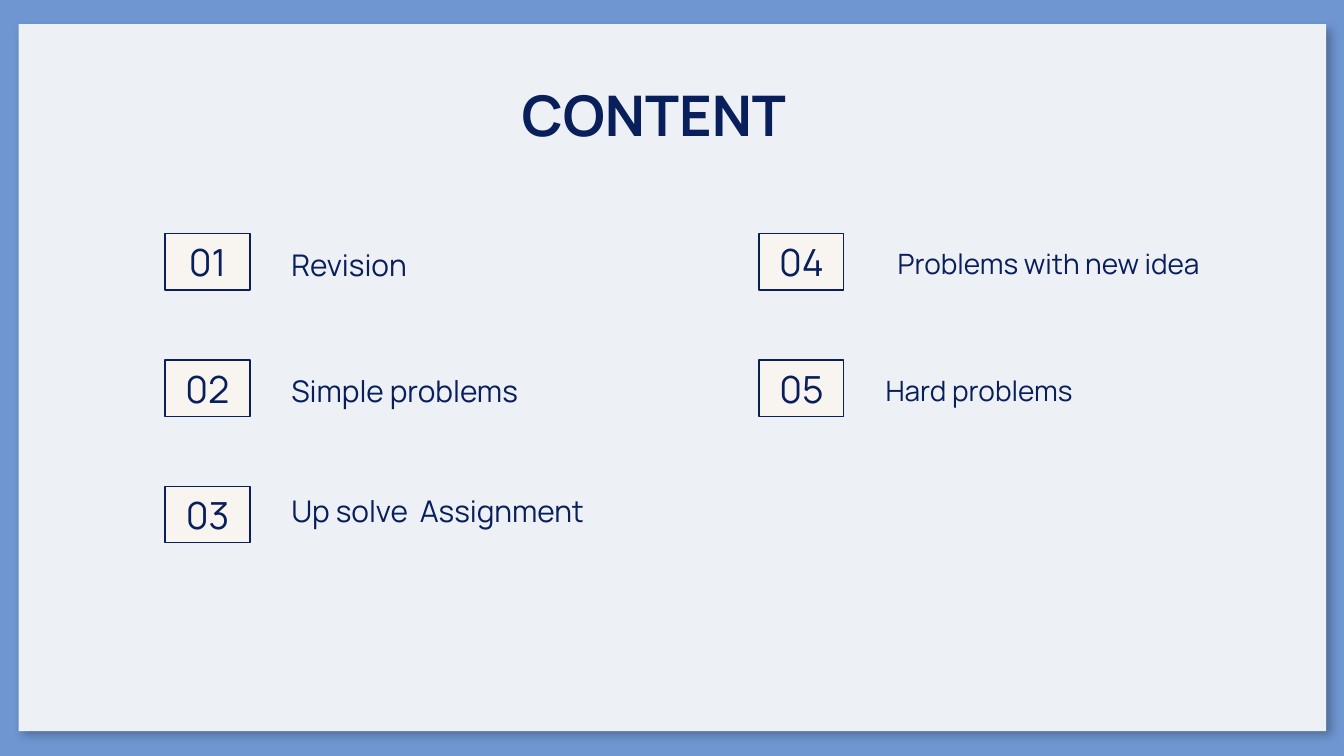
from lxml import etree
from pptx import Presentation
from pptx.dml.color import RGBColor
from pptx.enum import shapes, text
from pptx.oxml import ns
from pptx.util import Pt

NAVY, CREAM, PALE, BLUE = "091F5B", "F8F4F0", "EDF0F5", "6F96D1"


def paint(target, color):
    """Give a fill, or the fill of a line, one solid colour."""
    target.solid()
    target.fore_color.rgb = RGBColor.from_string(color)


class Agenda:
    font = "Manrope"
    inset = Pt(7.2)

    def __init__(self, page):
        self.page = page
        paint(page.background.fill, BLUE)

    def rectangle(self, left, top, width, height, fill, line=None):
        box = self.page.shapes.add_shape(
            shapes.MSO_SHAPE.RECTANGLE, Pt(left), Pt(top), Pt(width), Pt(height))
        box.shadow.inherit = False
        paint(box.fill, fill)
        if line:
            paint(box.line.fill, line)
            box.line.width = Pt(0.75)
        else:
            box.line.fill.background()
        return box

    def panel(self, left, top, width, height):
        """Draw the pale sheet with its soft shadow at the lower right."""
        box = self.rectangle(left, top, width, height, PALE)
        effects = box._element.spPr.find(ns.qn("a:effectLst"))
        shadow = etree.SubElement(
            effects, ns.qn("a:outerShdw"), blurRad=str(Pt(4.5)),
            dist=str(Pt(3.8)), dir=str(50 * 60000), algn="bl", rotWithShape="0")
        color = etree.SubElement(shadow, ns.qn("a:srgbClr"), val="000000")
        etree.SubElement(color, ns.qn("a:alpha"), val="25000")

    def set_text(self, box, words, size, align, bold=False, spacing=None, indent=0):
        frame = box.text_frame
        frame.word_wrap = True
        frame.vertical_anchor = text.MSO_ANCHOR.MIDDLE
        frame.margin_left = frame.margin_right = self.inset
        frame.margin_top = frame.margin_bottom = self.inset
        para = frame.paragraphs[0]
        para.alignment = align
        if spacing:
            para.line_spacing = spacing
        if indent:
            para._p.get_or_add_pPr().set("marL", str(Pt(indent)))
        span = para.add_run()
        span.text = words
        span.font.name = self.font
        span.font.size = Pt(size)
        span.font.bold = bold
        span.font.color.rgb = RGBColor.from_string(NAVY)

    def label(self, left, top, width, height, words, size,
              align=text.PP_ALIGN.LEFT, **style):
        box = self.page.shapes.add_textbox(Pt(left), Pt(top), Pt(width), Pt(height))
        self.set_text(box, words, size, align, **style)

    def badge(self, left, top, number):
        box = self.rectangle(left, top, 45.4, 30.2, CREAM, NAVY)
        self.set_text(box, f"{number:02}", 20, text.PP_ALIGN.CENTER)


def main():
    deck = Presentation()
    deck.slide_width, deck.slide_height = Pt(720), Pt(405)
    agenda = Agenda(deck.slides.add_slide(deck.slide_layouts[6]))

    agenda.panel(10, 13, 700.5, 378.7)
    agenda.label(182.2, 16.6, 336.2, 88.6, "CONTENT", 30,
                 text.PP_ALIGN.CENTER, bold=True)

    # Words, size, line spacing, indent, then label left, top, width and height
    topics = [
        ("Revision", 16, 1.15, 0, (149, 122.4, 181.4, 35.3)),
        ("Simple problems", 16, 1.15, 0, (149, 190.1, 181.4, 35.3)),
        ("Up solve  Assignment", 16, 1.1, 0, (149, 254.9, 215.3, 35.3)),
        ("Problems with new idea", 15, 1.1, 18, (455.8, 116.6, 204.5, 47.5)),
        ("Hard problems", 15, 1.15, 0, (467.3, 190.1, 181.4, 35.3)),
    ]
    for index, (words, size, spacing, indent, place) in enumerate(topics):
        column, row = divmod(index, 3)
        agenda.badge(88.5 + column * 318.2, 125.2 + row * 67.7, index + 1)
        agenda.label(*place, words, size, spacing=spacing, indent=indent)

    deck.save("out.pptx")


if __name__ == "__main__":
    main()
